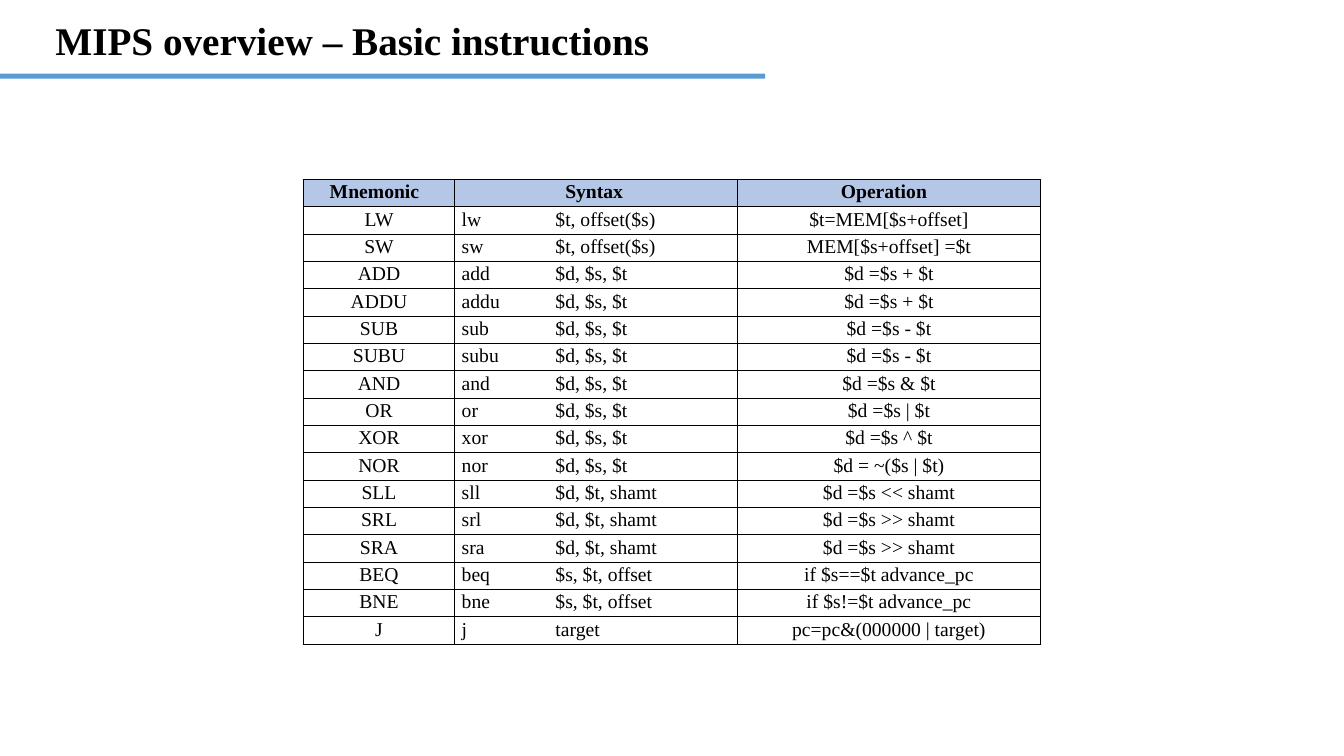
"""Build a slide with a table of basic MIPS instructions."""
import pptx
import pptx.dml.color
import pptx.enum.shapes
import pptx.enum.text
import pptx.util
from lxml import etree

INK = {"text": "000000", "line": "000000", "bar": "5B9BD5", "head": "B4C7E7"}
FONT = "Times New Roman"
WIDE, HIGH = pptx.util.Inches(13.33), pptx.util.Inches(7.5)
NS = "http://schemas.openxmlformats.org/drawingml/2006/main"
ALIGN = pptx.enum.text.PP_ALIGN
COLS = (11.25, 6.6, 14.47, 22.5)
ROW = 3.62
MARGINS = ((0.09, 0.09), (0.07, 0), (0.12, 0), (0.09, 0.09))
HEADS = (("Mnemonic", 0.09), ("Syntax", 0.04), ("", 0), ("Operation", 0.1))
CODES = (
    ("lw", "$t, offset($s)", "$t=MEM[$s+offset]"),
    ("sw", "$t, offset($s)", "MEM[$s+offset] =$t"),
    ("add", "$d, $s, $t", "$d =$s + $t"),
    ("addu", "$d, $s, $t", "$d =$s + $t"),
    ("sub", "$d, $s, $t", "$d =$s - $t"),
    ("subu", "$d, $s, $t", "$d =$s - $t"),
    ("and", "$d, $s, $t", "$d =$s & $t"),
    ("or", "$d, $s, $t", "$d =$s | $t"),
    ("xor", "$d, $s, $t", "$d =$s ^ $t"),
    ("nor", "$d, $s, $t", "$d = ~($s | $t)"),
    ("sll", "$d, $t, shamt", "$d =$s << shamt"),
    ("srl", "$d, $t, shamt", "$d =$s >> shamt"),
    ("sra", "$d, $t, shamt", "$d =$s >> shamt"),
    ("beq", "$s, $t, offset", "if $s==$t advance_pc"),
    ("bne", "$s, $t, offset", "if $s!=$t advance_pc"),
    ("j", "target", "pc=pc&(000000 | target)"),
)


def tint(name):
    return pptx.dml.color.RGBColor.from_string(INK[name])


def place(left, top, wide, high):
    return (round(WIDE * left / 100), round(HIGH * top / 100),
            round(WIDE * wide / 100), round(HIGH * high / 100))


def style(para, size, bold):
    for run in para.runs:
        run.font.name = FONT
        run.font.size = pptx.util.Pt(size)
        run.font.bold = bold
        run.font.color.rgb = tint("text")


def add_title(slide, text, box):
    frame = slide.shapes.add_textbox(*place(*box)).text_frame
    frame.word_wrap = True
    frame.text = text
    frame.paragraphs[0].line_spacing = 1.07
    style(frame.paragraphs[0], 28, True)


def add_bar(slide, box):
    kind = pptx.enum.shapes.MSO_SHAPE.RECTANGLE
    bar = slide.shapes.add_shape(kind, *place(*box))
    bar.shadow.inherit = False
    bar.fill.solid()
    bar.fill.fore_color.rgb = tint("bar")
    bar.line.fill.background()


def edge(cell, sides):
    props = cell._tc.get_or_add_tcPr()
    for side in "LRTB":
        line = etree.SubElement(props, f"{{{NS}}}ln{side}", w="12700")
        if side in sides:
            fill = etree.SubElement(line, f"{{{NS}}}solidFill")
            etree.SubElement(fill, f"{{{NS}}}srgbClr", val=INK["line"])
        else:
            etree.SubElement(line, f"{{{NS}}}noFill")


def fill_cell(cell, text, align, margins, sides="LRTB", head=False):
    edge(cell, sides)
    if head:
        cell.fill.solid()
        cell.fill.fore_color.rgb = tint("head")
    else:
        cell.fill.background()
    cell.margin_left = cell.margin_right = 0
    cell.margin_top = cell.margin_bottom = 0
    cell.vertical_anchor = pptx.enum.text.MSO_ANCHOR.MIDDLE
    cell.text_frame.text = text
    para = cell.text_frame.paragraphs[0]
    para.alignment = align
    para.line_spacing = pptx.util.Pt(14)
    props = para._p.get_or_add_pPr()
    for key, inch in zip(("marL", "marR"), margins):
        props.set(key, str(pptx.util.Inches(inch)))
    props.set("indent", "0")
    style(para, 14, head)


def add_codes(slide, left, top):
    count = len(CODES) + 1
    box = place(left, top, sum(COLS), ROW * count)
    table = slide.shapes.add_table(count, len(COLS), *box).table
    table.first_row = table.horz_banding = False
    for col, share in zip(table.columns, COLS):
        col.width = round(WIDE * share / 100)
    for row in table.rows:
        row.height = round(HIGH * ROW / 100)
    for col, (text, right) in enumerate(HEADS):
        fill_cell(table.cell(0, col), text, ALIGN.CENTER, (0, right), head=True)
    table.cell(0, 1).merge(table.cell(0, 2))
    aligns = (ALIGN.CENTER, ALIGN.LEFT, ALIGN.LEFT, ALIGN.CENTER)
    sides = ("LRTB", "LTB", "RTB", "LRTB")
    for row, code in enumerate(CODES, 1):
        texts = (code[0].upper(), *code)
        for col, parts in enumerate(zip(texts, aligns, MARGINS, sides)):
            fill_cell(table.cell(row, col), *parts)


def main():
    deck = pptx.Presentation()
    deck.slide_width, deck.slide_height = WIDE, HIGH
    slide = deck.slides.add_slide(deck.slide_layouts[6])
    add_title(slide, "MIPS overview – Basic instructions", (3.38, 1.07, 47.11, 13.87))
    add_bar(slide, (0, 9.73, 56.94, 0.67))
    add_codes(slide, 22.58, 23.73)
    deck.save("out.pptx")


if __name__ == "__main__":
    main()
